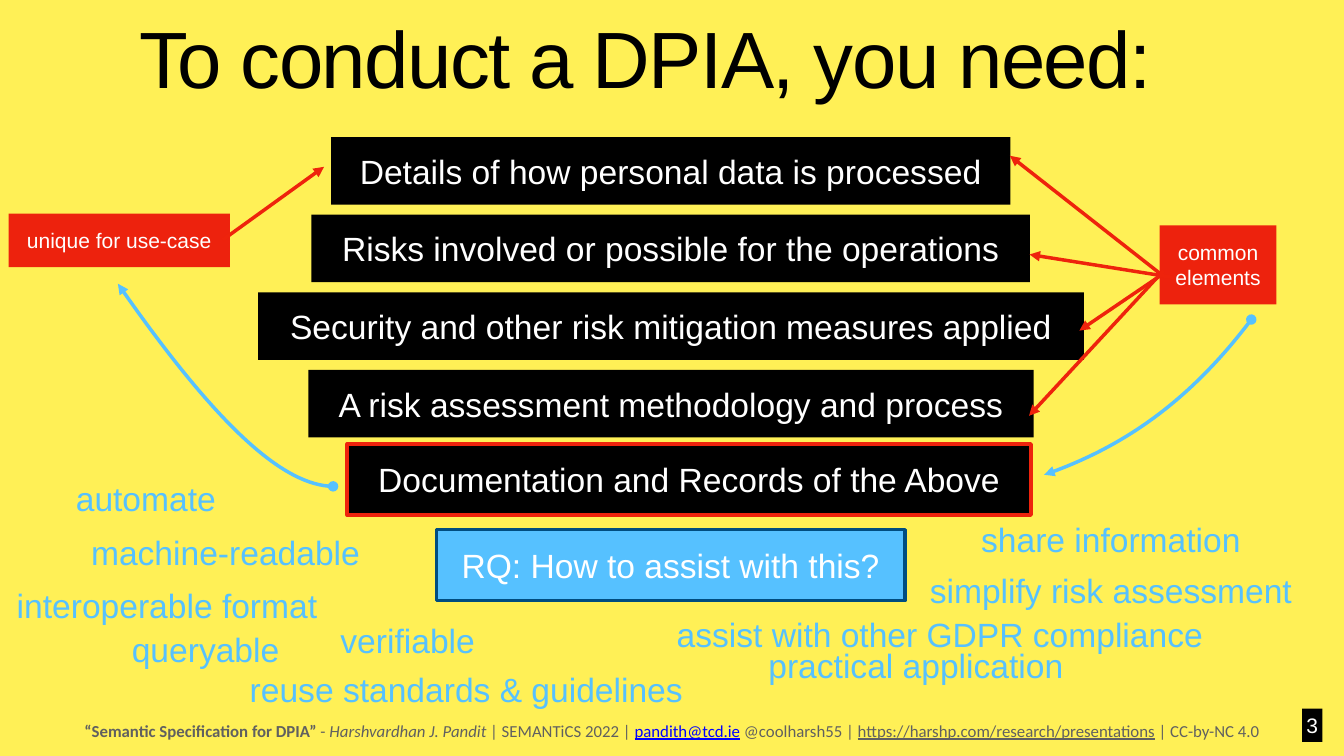
from dataclasses import dataclass

from pptx import Presentation
from pptx.dml.color import RGBColor
from pptx.enum.shapes import MSO_CONNECTOR, MSO_SHAPE
from pptx.enum.text import MSO_ANCHOR, MSO_AUTO_SIZE, PP_ALIGN
from pptx.oxml.ns import qn
from pptx.util import Pt
from lxml.etree import SubElement

PX = 9144  # EMU in one px, 100 px to the inch


@dataclass(frozen=True)
class Theme:
    background: str = "FFF056"
    black: str = "000000"
    white: str = "FFFFFF"
    red: str = "ED220D"
    red_line: str = "EE230C"
    blue: str = "56C1FF"
    navy: str = "004D80"
    grey: str = "606060"
    link: str = "0000FF"
    font: str = "Arial"
    footer_font: str = "Calibri"
    title_size: int = 114
    body_size: int = 48
    label_size: int = 30
    footer_size: int = 24
    line_width: int = 5


class SlideBuilder:
    def __init__(self, slide, theme):
        self.slide = slide
        self.theme = theme
        fill = slide.background.fill
        fill.solid()
        fill.fore_color.rgb = RGBColor.from_string(theme.background)

    def frame(self, shape, inset, anchor=MSO_ANCHOR.MIDDLE, wrap=False):
        """Set the text frame's layout; a frame that does not wrap fits its text."""
        frame = shape.text_frame
        frame.word_wrap = wrap
        frame.auto_size = MSO_AUTO_SIZE.NONE if wrap else MSO_AUTO_SIZE.SHAPE_TO_FIT_TEXT
        frame.vertical_anchor = anchor
        frame.margin_left = frame.margin_right = inset * PX
        frame.margin_top = frame.margin_bottom = inset * PX
        return frame

    def run(self, paragraph, text, size, color, font=None, **style):
        run = paragraph.add_run()
        run.text = text
        run.font.name = font or self.theme.font
        run.font.size = Pt(size)
        run.font.color.rgb = RGBColor.from_string(color)
        for name, value in style.items():
            setattr(run.font, name, value)
        return run

    def lines(self, frame, texts, size, color):
        """Write one centred paragraph for each text."""
        for index, text in enumerate(texts):
            paragraph = frame.add_paragraph() if index else frame.paragraphs[0]
            paragraph.alignment = PP_ALIGN.CENTER
            self.run(paragraph, text, size, color)

    def text_box(self, left, top, width, height):
        return self.slide.shapes.add_textbox(left * PX, top * PX, width * PX, height * PX)

    def title(self, text, *box):
        frame = self.frame(self.text_box(*box), 8, wrap=True)
        paragraph = frame.paragraphs[0]
        paragraph.line_spacing = 0.8
        run = self.run(paragraph, text, self.theme.title_size, self.theme.black)
        run.font._element.set("spc", "-230")

    def footer(self, parts, *box):
        paragraph = self.frame(self.text_box(*box), 6).paragraphs[0]
        paragraph.alignment = PP_ALIGN.CENTER
        for text, color, style in parts:
            self.run(paragraph, text, self.theme.footer_size, color,
                     self.theme.footer_font, **style)

    def keyword(self, text, left, top, width):
        frame = self.frame(self.text_box(left, top, width, 93), 7)
        self.lines(frame, [text], self.theme.body_size, self.theme.blue)

    def block(self, texts, left, top, width, height, fill, size,
              outline=None, inset=28, anchor=MSO_ANCHOR.MIDDLE):
        shape = self.slide.shapes.add_shape(
            MSO_SHAPE.RECTANGLE, left * PX, top * PX, width * PX, height * PX)
        shape.shadow.inherit = False
        shape.fill.solid()
        shape.fill.fore_color.rgb = RGBColor.from_string(fill)
        if outline:
            self.stroke(shape.line, outline)
        else:
            shape.line.fill.background()
        self.lines(self.frame(shape, inset, anchor), texts, size, self.theme.white)

    def stroke(self, line, color, head=None, tail=None):
        line.color.rgb = RGBColor.from_string(color)
        line.width = Pt(self.theme.line_width)
        for tag, kind in (("a:headEnd", head), ("a:tailEnd", tail)):
            if kind:
                SubElement(line._get_or_add_ln(), qn(tag)).set("type", kind)

    def arrow(self, start, end):
        connector = self.slide.shapes.add_connector(
            MSO_CONNECTOR.STRAIGHT, *(value * PX for value in start + end))
        self.stroke(connector.line, self.theme.red_line, tail="triangle")
        SubElement(connector._element.spPr, qn("a:effectLst"))

    def curve(self, start, *points):
        """Draw a Bézier arrow through two control points to its end."""
        builder = self.slide.shapes.build_freeform(*start, scale=PX)
        builder.add_line_segments(points, close=False)
        shape = builder.convert_to_shape()
        shape.shadow.inherit = False
        shape.fill.background()
        self.stroke(shape.line, self.theme.blue, head="oval", tail="triangle")
        outline = next(shape._element.iter(qn("a:path")))
        bezier = SubElement(outline, qn("a:cubicBezTo"))
        for segment in outline.findall(qn("a:lnTo")):
            bezier.append(segment[0])
            outline.remove(segment)


STACK_CENTER, STACK_TOP, STACK_STEP = 1331, 272, 154
NEEDS = [
    ("Details of how personal data is processed", 1348),
    ("Risks involved or possible for the operations", 1426),
    ("Security and other risk mitigation measures applied", 1639),
    ("A risk assessment methodology and process", 1439),
]
COMMON_ARROWS = [
    ((2310, 549), (2004, 309)),
    ((2331, 551), (2043, 505)),
    ((2307, 544), (2142, 656)),
    ((2309, 537), (2042, 825)),
]
KEYWORDS = [
    ("automate", 136, 941, 307),
    ("machine-readable", 162, 1048, 571),
    ("interoperable format", 10, 1155, 643),
    ("share information", 1928, 1024, 553),
    ("simplify risk assessment", 1821, 1124, 767),
    ("assist with other GDPR compliance ", 1313, 1212, 1123),
    ("queryable", 248, 1241, 320),
    ("verifiable", 662, 1223, 294),
    ("practical application", 1497, 1273, 641),
    ("reuse standards & guidelines", 473, 1320, 905),
]


def main():
    theme = Theme()
    presentation = Presentation()
    presentation.slide_width = 2667 * PX
    presentation.slide_height = 1500 * PX
    slide = presentation.slides.add_slide(presentation.slide_layouts[6])
    page = SlideBuilder(slide, theme)

    page.footer([
        ("“Semantic Specification for DPIA” ", theme.grey, {"bold": True}),
        ("- ", theme.grey, {}),
        ("Harshvardhan J. Pandit ", theme.grey, {"italic": True}),
        ("| SEMANTiCS 2022 | ", theme.grey, {}),
        ("pandith@tcd.ie", theme.link, {"underline": True}),
        (" @coolharsh55 | ", theme.grey, {}),
        ("https://harshp.com/research/presentations", theme.grey, {"underline": True}),
        (" | CC-by-NC 4.0", theme.grey, {}),
    ], 111, 1424, 2444, 50)
    page.title("To conduct a DPIA, you need:", 268, -124, 2130, 508)

    for row, (text, width) in enumerate(NEEDS):
        page.block([text], STACK_CENTER - width // 2, STACK_TOP + row * STACK_STEP,
                   width, 134, theme.black, theme.body_size)
    page.block(["Documentation and Records of the Above"], 689, 881, 1357, 141,
               theme.black, theme.body_size, theme.red_line)

    page.block(["unique for use-case"], 17, 424, 439, 106, theme.red, theme.label_size)
    page.arrow((442, 476), (643, 331))
    page.block(["common", "elements"], 2301, 447, 232, 157, theme.red, theme.label_size)
    for start, end in COMMON_ARROWS:
        page.arrow(start, end)

    page.block(["RQ: How to assist with this?"], 866, 1051, 930, 141,
               theme.blue, theme.body_size, theme.navy)
    page.curve((661, 965), (562, 964), (420, 831), (234, 563))
    page.curve((2483, 634), (2369, 785), (2232, 887), (2072, 942))
    for keyword in KEYWORDS:
        page.keyword(*keyword)
    page.block(["3"], 2584, 1406, 40, 66, theme.black, theme.label_size,
               inset=8, anchor=MSO_ANCHOR.BOTTOM)

    presentation.save("out.pptx")


if __name__ == "__main__":
    main()
